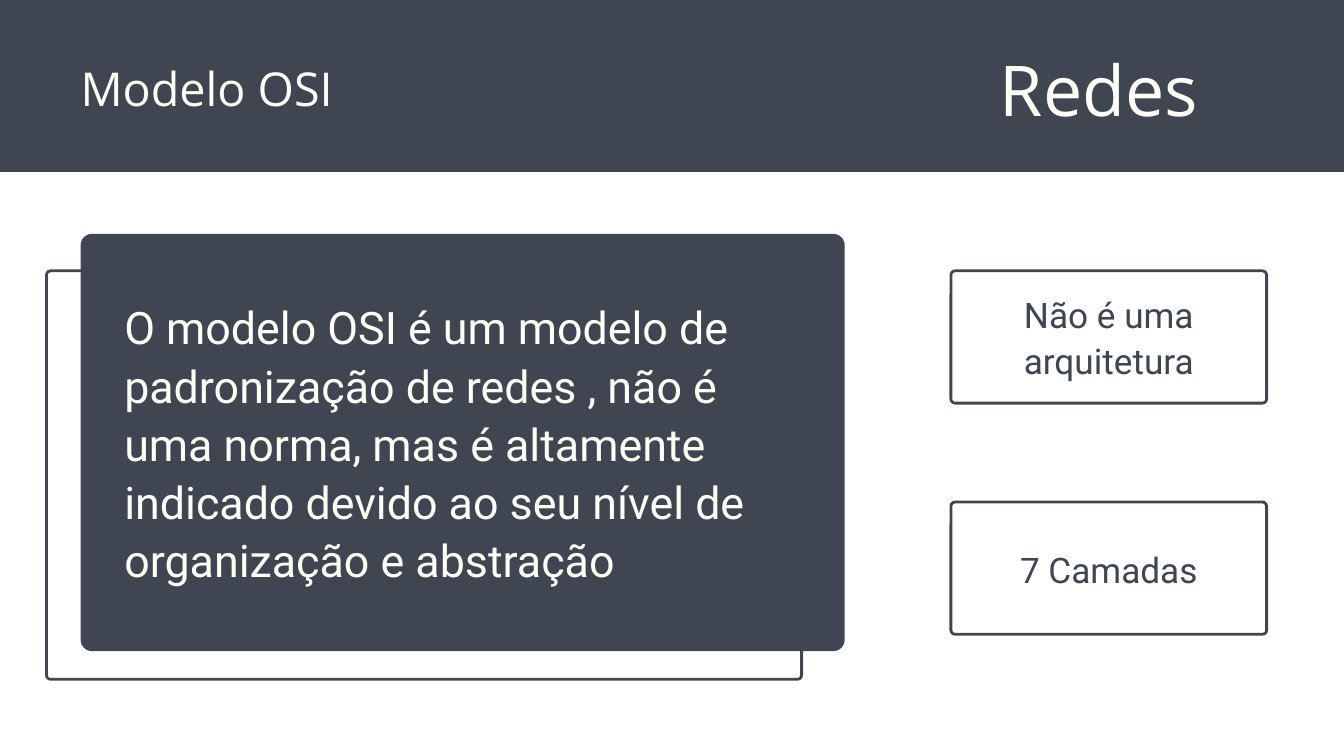
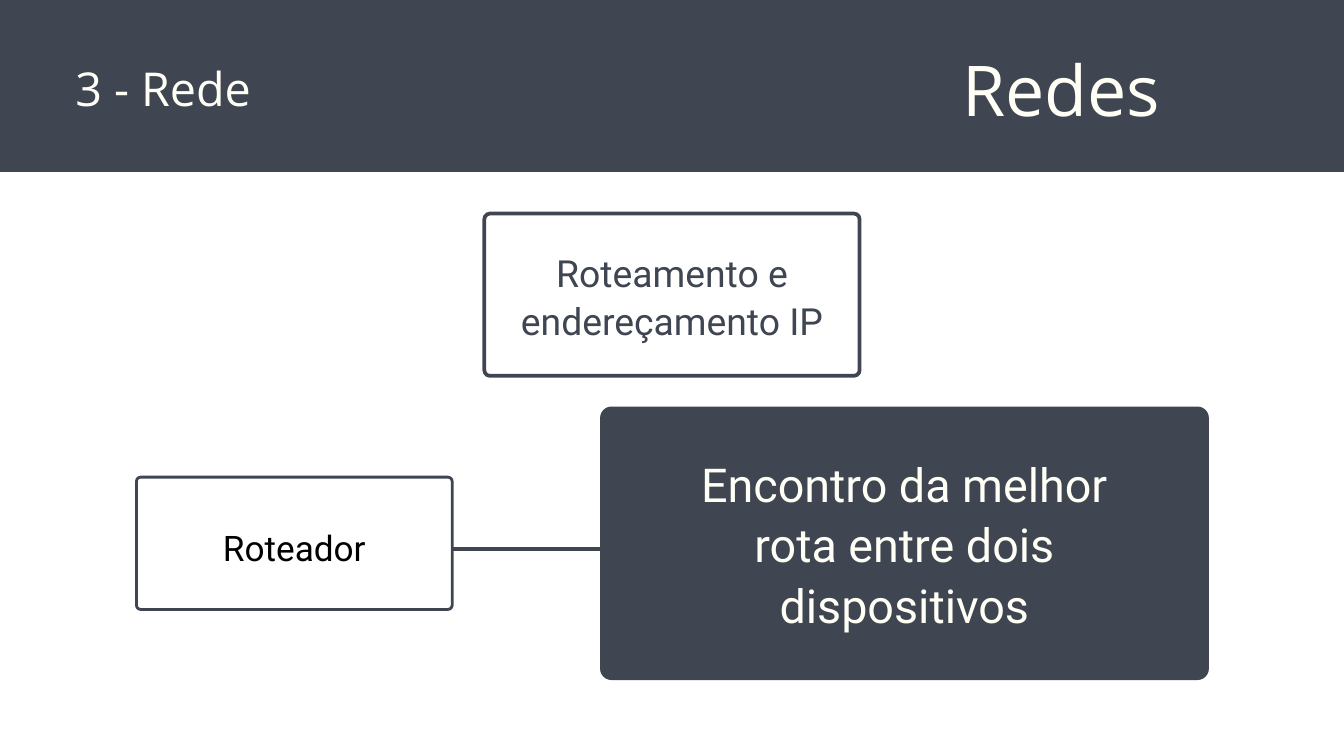
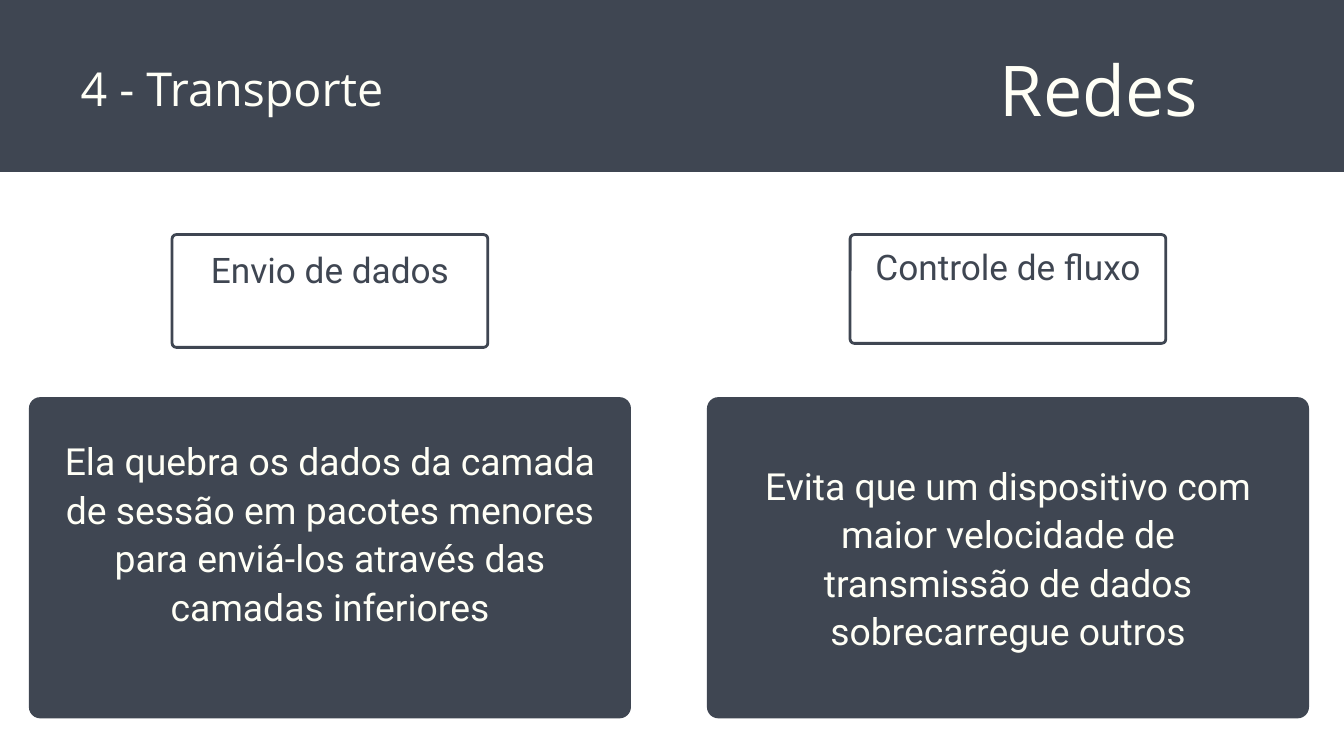
import pptx
import pptx.util
import pptx.dml.color
import pptx.enum.shapes
import pptx.enum.text
import pptx.oxml

Inches, Pt = pptx.util.Inches, pptx.util.Pt
SHAPE = pptx.enum.shapes.MSO_SHAPE
ALIGN = pptx.enum.text.PP_ALIGN

# The grid has square cells: 20 columns by 11.25 rows
COLS, ROWS = 20, 11.25
CELL = Inches(1)
BAND = 2.56
COLORS = {"slate": "3F4652", "cream": "FFFFF6", "black": "000000"}
# Text styles: font, size, line spacing
STYLES = {
    "brand": ("Open Sans", 75, 105),
    "title": ("Open Sans", 50, 70),
    "large": ("Roboto", 50, 65),
    "body": ("Roboto", 48, 62.4),
    "text": ("Roboto", 40, 52),
    "label": ("Roboto", 37.7, 49),
}


def grid(*cells):
    return [round(n * CELL) for n in cells]


def color(name):
    return pptx.dml.color.RGBColor.from_string(COLORS[name])


def write(shape, text, style, tint, align):
    """Fill a shape with one styled paragraph, without margins."""
    frame = shape.text_frame
    frame.word_wrap = True
    frame.auto_size = pptx.enum.text.MSO_AUTO_SIZE.NONE
    frame.vertical_anchor = pptx.enum.text.MSO_ANCHOR.TOP
    frame.margin_left = frame.margin_right = 0
    frame.margin_top = frame.margin_bottom = 0
    para = frame.paragraphs[0]
    para.text = text
    para.alignment = align
    face, size, lead = STYLES[style]
    para.line_spacing = Pt(lead)
    para.font.name, para.font.size = face, Pt(size)
    para.font.color.rgb = color(tint)


def block(slide, box, kind=SHAPE.RECTANGLE, round_by=0):
    """Add a slate shape; round_by is its corner radius in cells."""
    shape = slide.shapes.add_shape(kind, *grid(*box))
    shape.shadow.inherit = False
    if round_by:
        shape.adjustments[0] = round_by / min(box[2:])
    shape.fill.solid()
    shape.fill.fore_color.rgb = color("slate")
    shape.line.fill.background()
    return shape


def label(slide, box, pad, text, style, tint, align):
    """Put text in a box, inset by pad (sides, top and bottom)."""
    x, y, w, h = box
    dx, dy = pad
    area = grid(x + dx, y + dy, w - 2 * dx, h - 2 * dy)
    write(slide.shapes.add_textbox(*area), text, style, tint, align)


def card(slide, box, pad, text, style="text", align=ALIGN.CENTER):
    block(slide, box, SHAPE.ROUNDED_RECTANGLE, 0.17)
    label(slide, box, pad, text, style, "cream", align)


def outline(slide, box, weight=3):
    """Draw a rounded frame whose line stays inside the box."""
    x, y, w, h = box
    wall = weight / 72
    inner = (x + wall / 2, y + wall / 2, w - wall, h - wall)
    shape = block(slide, inner, SHAPE.ROUNDED_RECTANGLE, 1.5 * wall)
    shape.fill.background()
    shape.line.color.rgb = color("slate")
    shape.line.width = Pt(weight)


def tag(slide, box, pad, text, style="label", tint="slate", weight=3):
    outline(slide, box, weight)
    label(slide, box, pad, text, style, tint, ALIGN.CENTER)


def link(slide, start, end, y):
    line = slide.shapes.add_connector(
        pptx.enum.shapes.MSO_CONNECTOR.STRAIGHT, *grid(start, y, end, y))
    line.line.color.rgb = color("slate")
    line.line.width = Pt(3.6)
    props = line.element.spPr
    props.append(pptx.oxml.parse_xml(
        '<a:effectLst xmlns:a='
        '"http://schemas.openxmlformats.org/drawingml/2006/main"/>'))


def header(deck, text, left=1.2, brand=(13.84, 5.03)):
    """Start a slide with its band, title and subject."""
    slide = deck.slides.add_slide(deck.slide_layouts[5])
    title = slide.shapes.title
    band = block(slide, (0, 0, COLS, BAND))
    title.element.addprevious(band.element)
    title.left, title.top, title.width, title.height = grid(left, 0.75, 8, 0.94)
    write(title, text, "title", "cream", ALIGN.LEFT)
    x, w = brand
    label(slide, (x, 0, w, BAND), (0, 0.49), "Redes", "brand", "cream",
          ALIGN.CENTER)
    return slide


def model(deck):
    slide = header(deck, "Modelo OSI")
    outline(slide, (0.67, 4.01, 11.28, 6.12))
    card(slide, (1.2, 3.48, 11.37, 6.21), (0.65, 0.92),
         "O modelo OSI é um modelo de padronização de redes , não é uma "
         "norma, mas é altamente indicado devido ao seu nível de "
         "organização e abstração", "body", ALIGN.LEFT)
    facts = [("Não é uma arquitetura", 0.3), ("7 Camadas", 0.65)]
    for i, (text, top) in enumerate(facts):
        tag(slide, (14.13, 4.01 + 3.44 * i, 4.74, 2.01), (0.41, top), text)


def network(deck):
    slide = header(deck, "3 - Rede", 1.12, (12.98, 5.63))
    tag(slide, (7.18, 3.15, 5.64, 2.47), (0.32, 0.51),
        "Roteamento e endereçamento IP", "text", weight=4)
    tag(slide, (2.01, 7.08, 4.74, 2.01), (0.52, 0.7), "Roteador",
        tint="black")
    card(slide, (8.93, 6.05, 9.06, 4.07), (0.9, 0.66),
         "Encontro da melhor rota entre dois dispositivos", "large")
    link(slide, 6.72, 9.12, 8.17)


def transport(deck):
    slide = header(deck, "4 - Transporte")
    # Each column: tag, tag height, tag padding, card text, card top padding
    columns = [
        ("Envio de dados", 1.72, (0.5, 0.17),
         "Ela quebra os dados da camada de sessão em pacotes menores para "
         "enviá-los através das camadas inferiores", 0.56),
        ("Controle de fluxo", 1.66, (0.36, 0.13),
         "Evita que um dispositivo com maior velocidade de transmissão de "
         "dados sobrecarregue outros", 0.92),
    ]
    for i, (name, tall, pad, text, top) in enumerate(columns):
        x = 0.43 + 10.09 * i
        tag(slide, (x + 2.11, 3.47, 4.74, tall), pad, name)
        card(slide, (x, 5.91, 8.96, 4.78), (0.51, top), text)


def main():
    deck = pptx.Presentation()
    deck.slide_width, deck.slide_height = grid(COLS, ROWS)
    for build in (model, network, transport):
        build(deck)
    deck.save("out.pptx")


if __name__ == "__main__":
    main()
